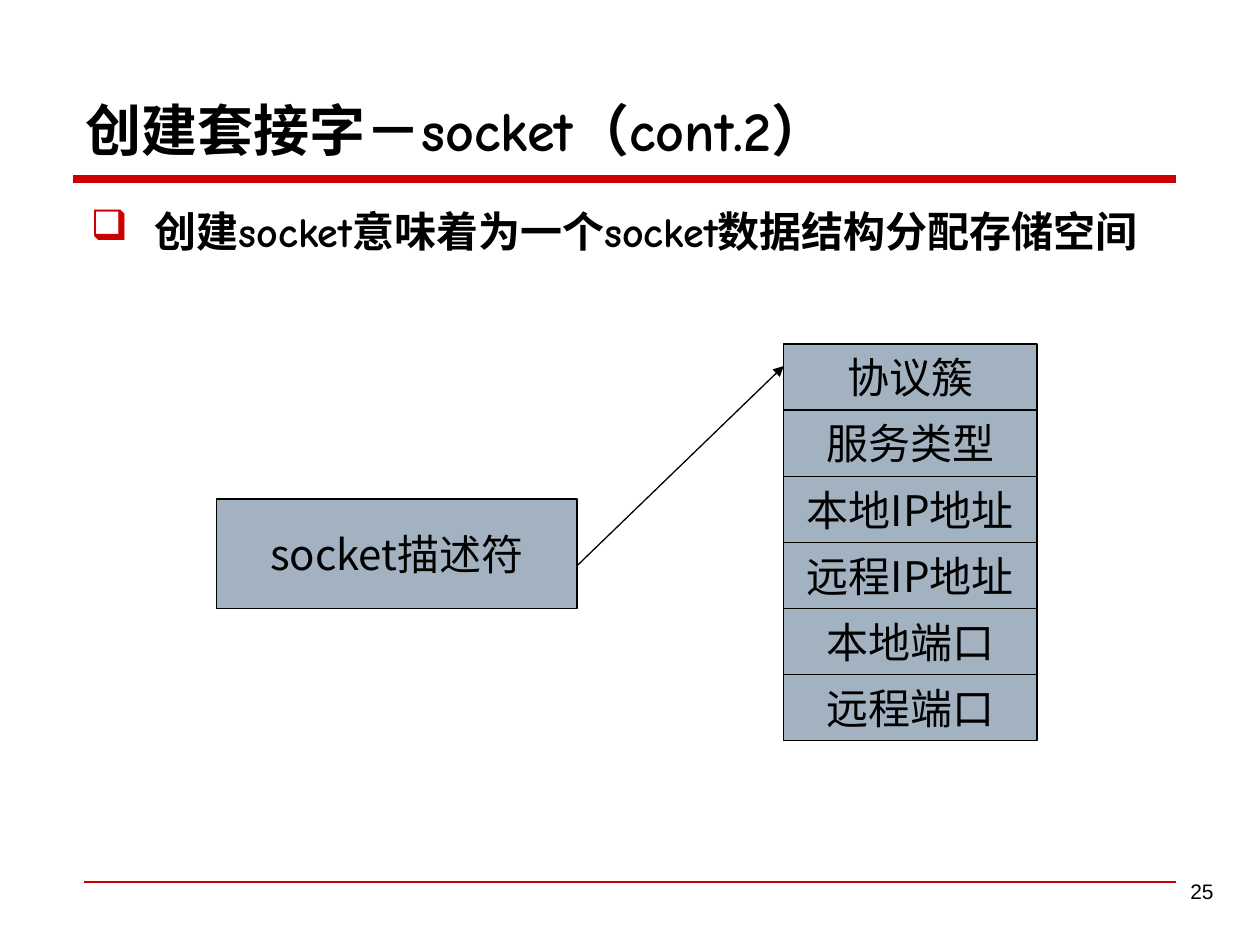
from collections import namedtuple

from lxml import etree
from pptx import Presentation
from pptx.dml.color import RGBColor
from pptx.enum.shapes import MSO_CONNECTOR, MSO_SHAPE
from pptx.enum.text import MSO_ANCHOR, PP_ALIGN
from pptx.oxml.ns import qn
from pptx.util import Inches, Pt

RED = RGBColor(0xCC, 0x00, 0x00)
BLACK = RGBColor(0x00, 0x00, 0x00)
STEEL = RGBColor(0xA3, 0xB2, 0xC1)
COMIC, SANS, ARIAL = "Comic Neue", "Noto Sans CJK SC", "Arial"

# The page is a grid of 100 columns by 75 rows
WIDTH, HEIGHT = Inches(10), Inches(7.5)
COLUMN, ROW = WIDTH / 100, HEIGHT / 75
Box = namedtuple("Box", "left top width height")

FIELDS = ["协议簇", "服务类型", "本地IP地址", "远程IP地址", "本地端口", "远程端口"]


def place(box):
    return (round(box.left * COLUMN), round(box.top * ROW),
            round(box.width * COLUMN), round(box.height * ROW))


def write(frame, text, size, face, bold=False, align=PP_ALIGN.LEFT,
          anchor=MSO_ANCHOR.TOP, wrap=True):
    frame.word_wrap = wrap
    frame.vertical_anchor = anchor
    para = frame.paragraphs[0]
    para.text = text
    para.alignment = align
    font = para.font
    font.size, font.name, font.bold = Pt(size), face, bold
    font.color.rgb = BLACK
    # Chinese characters take the sans face
    properties = para._p.pPr.find(qn("a:defRPr"))
    etree.SubElement(properties, qn("a:ea")).set("typeface", SANS)


def add_text(page, box, text, size, face, **style):
    frame = page.shapes.add_textbox(*place(box)).text_frame
    write(frame, text, size, face, **style)


def add_line(page, start, end, color, weight, arrow=False):
    line = page.shapes.add_connector(
        MSO_CONNECTOR.STRAIGHT,
        round(start[0] * COLUMN), round(start[1] * ROW),
        round(end[0] * COLUMN), round(end[1] * ROW))
    line.line.color.rgb = color
    line.line.width = Pt(weight)
    if arrow:
        outline = line.line._get_or_add_ln()
        etree.SubElement(outline, qn("a:tailEnd")).set("type", "triangle")
    etree.SubElement(line._element.spPr, qn("a:effectLst"))


def add_cell(page, box, text):
    cell = page.shapes.add_shape(MSO_SHAPE.RECTANGLE, *place(box))
    cell.shadow.inherit = False
    cell.fill.solid()
    cell.fill.fore_color.rgb = STEEL
    cell.line.color.rgb = BLACK
    cell.line.width = Pt(0.75)
    write(cell.text_frame, text, 24, SANS, align=PP_ALIGN.CENTER,
          anchor=MSO_ANCHOR.MIDDLE, wrap=False)


def add_heading(page, box):
    # Title over a thick rule
    add_text(page, box, "创建套接字－socket（cont.2）", 32, COMIC,
             bold=True, anchor=MSO_ANCHOR.BOTTOM)
    rule = box.top + box.height + 0.8
    add_line(page, (box.left, rule), (box.left + box.width, rule), RED, 4.5)


def add_bullet(page, box):
    frame = page.shapes.add_textbox(*place(box)).text_frame
    # Red hollow square with a hanging indent
    properties = frame.paragraphs[0]._p.get_or_add_pPr()
    indent = Inches(0.51)
    properties.set("marL", str(indent))
    properties.set("indent", str(-indent))
    color = etree.SubElement(properties, qn("a:buClr"))
    etree.SubElement(color, qn("a:srgbClr")).set("val", str(RED))
    etree.SubElement(properties, qn("a:buChar")).set("char", "❑")
    write(frame, "创建socket意味着为一个socket数据结构分配存储空间", 24, COMIC, bold=True)


def add_diagram(page, box):
    # Descriptor at the left, structure fields stacked at the right
    step = box.height / len(FIELDS)
    fields_left = box.left + 45
    descriptor = Box(box.left, box.top + 12.3, 28.6, 8.7)
    add_cell(page, descriptor, "socket描述符")
    for index, field in enumerate(FIELDS):
        add_cell(page, Box(fields_left, box.top + index * step,
                           box.width - 45, step), field)
    # Arrow from the descriptor to the first field
    start = (descriptor.left + descriptor.width, descriptor.top + 5.3)
    add_line(page, start, (fields_left, box.top + step / 3), BLACK, 0.75, arrow=True)


def add_footer(page, box):
    # Thin rule and page number
    add_line(page, (box.left, box.top + 2.8), (93.3, box.top + 2.8), RED, 1)
    number = Box(box.left + box.width - 32.5, box.top, 32.5, box.height)
    add_text(page, number, "25", 12, ARIAL, align=PP_ALIGN.RIGHT,
             anchor=MSO_ANCHOR.BOTTOM)


def main():
    deck = Presentation()
    deck.slide_width, deck.slide_height = WIDTH, HEIGHT
    page = deck.slides.add_slide(deck.slide_layouts[6])
    add_heading(page, Box(5.8, 1.7, 87.5, 11.7))
    add_bullet(page, Box(6.2, 15.8, 89.1, 6))
    add_diagram(page, Box(17.2, 27.3, 65.1, 31.5))
    add_footer(page, Box(6.7, 67.2, 90.6, 5))
    deck.save("out.pptx")


if __name__ == "__main__":
    main()
